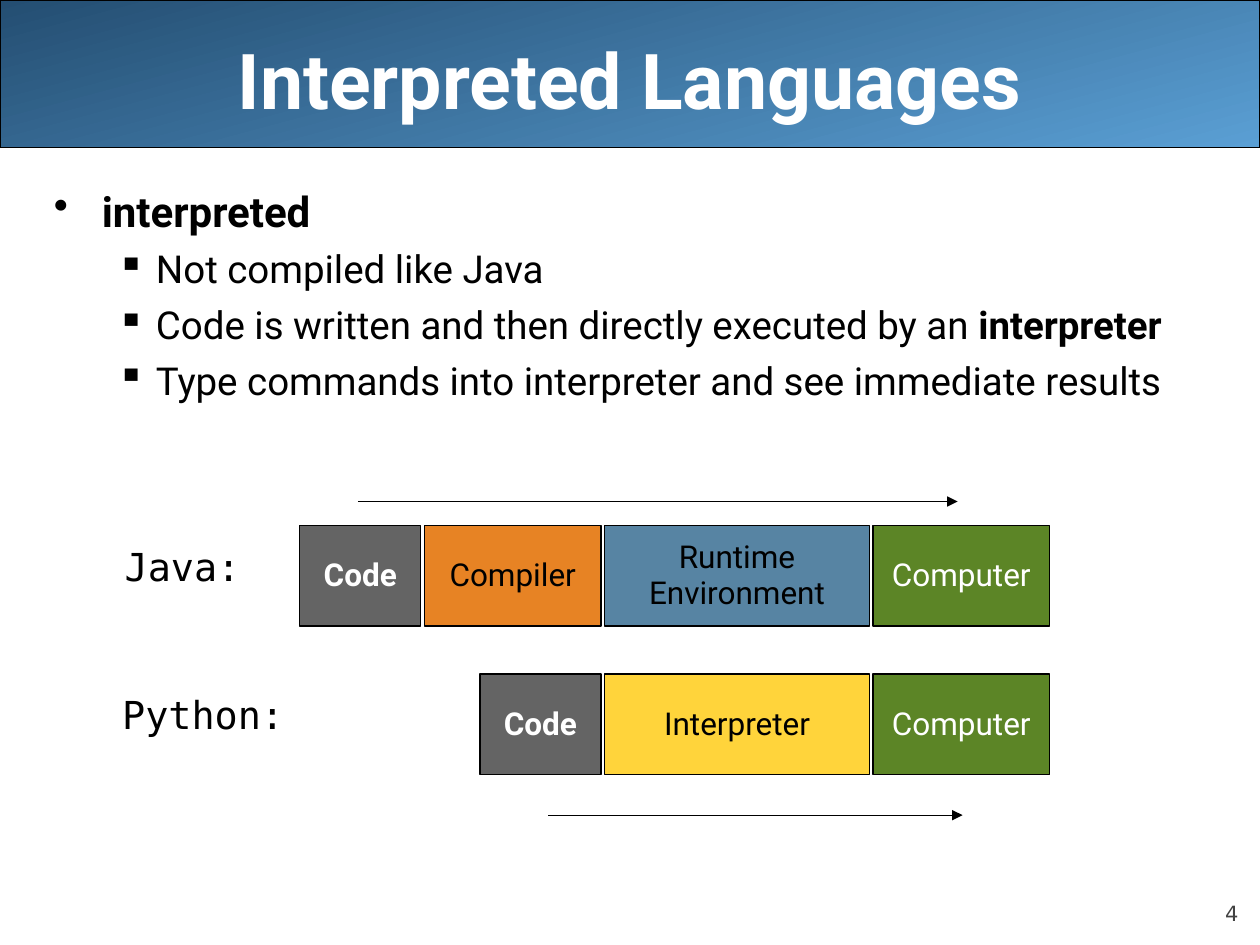
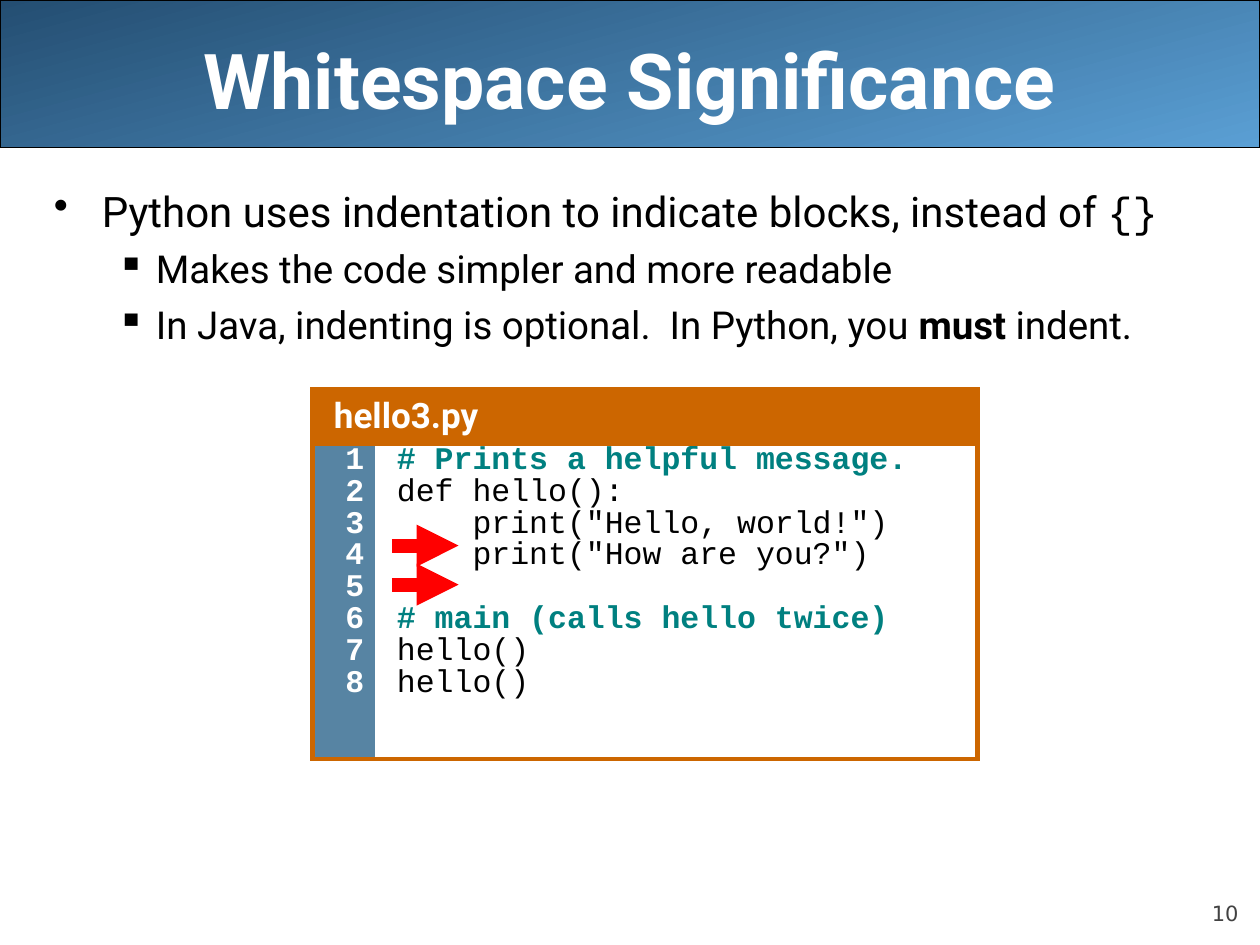
from lxml import etree
from pptx import Presentation, util as u
from pptx.dml.color import RGBColor
from pptx.enum import shapes, text
from pptx.oxml.ns import qn

# ---- Content ----
C = dict(black="000000", white="FFFFFF", dark="244E72", light="5A9FD4",
         page="424242", green="5C8526", blue="5784A3", orange="E78324",
         gray="646464", yellow="FFD43B", frame="CC6600", teal="008080",
         red="FF0000")
SANS, MONO, LABEL, NUMBER = "Roboto", "Courier New", "DejaVu Sans Mono", "DejaVu Sans"

# Bullets: (level, [(text, look), ...])
INTERPRETED = [
    (0, [("interpreted", "bold")]),
    (1, [("Not compiled like Java", "")]),
    (1, [("Code is written and then directly executed by an ", ""),
         ("interpreter", "bold")]),
    (1, [("Type commands into interpreter and see immediate results", "")]),
]
WHITESPACE = [
    (0, [("Python uses indentation to indicate blocks, instead of ", ""),
         ("{}", "code")]),
    (1, [("Makes the code simpler and more readable", "")]),
    (1, [("In Java, indenting is optional.  In Python, you ", ""),
         ("must", "bold"), (" indent.", "")]),
]
LEVELS = [  # bullet, size, left margin, hanging indent, space before
    dict(mark="•", size=24, left=0.38, hang=0.38, before=6),
    dict(mark="▪", size=22, left=0.81, hang=0.31, before=5.5),
]

# Stages: text, width, fill, text colour, bold
CODE = ("Code", 0.96, "gray", "white", True)
COMPUTER = ("Computer", 1.4, "green", "white", False)
PIPELINES = [
    dict(name="Java:", label=(0.9, 4.29, 1.1), top=4.17, arrow=(2.84, 7.6, 3.98),
         stages=[CODE, ("Compiler", 1.4, "orange", "black", False),
                 ("Runtime\nEnvironment", 2.1, "blue", "black", False), COMPUTER]),
    dict(name="Python:", label=(0.88, 5.47, 1.47), top=5.35, arrow=(4.35, 7.64, 6.47),
         stages=[CODE, ("Interpreter", 2.1, "yellow", "black", False), COMPUTER]),
]
STAGES_RIGHT, STAGE_GAP, STAGE_H = 8.33, 0.03, 0.8

FILE_NAME = "hello3.py"
LISTING = [  # line number, indent level, code
    (1, 0, "# Prints a helpful message."),
    (2, 0, "def hello():"),
    (3, 1, 'print("Hello, world!")'),
    (4, 1, 'print("How are you?")'),
    (6, 0, "# main (calls hello twice)"),
    (7, 0, "hello()"),
    (8, 0, "hello()"),
]
CODE_BEFORE, CODE_PITCH, CODE_MARGIN, CODE_INDENT = 4.5, 18.16, 0.12, 0.6
INDENT_ARROWS = (4.33, 4.64)

W, H = 10, 7.5


# ---- Helpers ----
def rgb(name):
    return RGBColor.from_string(C[name])


def inches(*values):
    return [u.Inches(v) for v in values]


def style(r, size, color="black", font=SANS, bold=False):
    r.font.size, r.font.name, r.font.bold = u.Pt(size), font, bold
    r.font.color.rgb = rgb(color)


def style_all(tf, align=None, spacing=None, before=0, **look):
    for p in tf.paragraphs:
        p.alignment, p.line_spacing, p.space_before = align, spacing, u.Pt(before)
        for r in p.runs:
            style(r, **look)


def margins(box, *sides):
    box.margin_left, box.margin_top, box.margin_right, box.margin_bottom = inches(*sides)


def add_text(s, at, content="", anchor=text.MSO_ANCHOR.TOP, wrap=True, **look):
    tf = s.shapes.add_textbox(*inches(*at)).text_frame
    tf.word_wrap, tf.vertical_anchor = wrap, anchor
    tf.text = content
    style_all(tf, **look)
    return tf


def add_box(s, at):
    sp = s.shapes.add_shape(shapes.MSO_SHAPE.RECTANGLE, *inches(*at))
    sp.shadow.inherit = False
    sp.line.color.rgb, sp.line.width = rgb("black"), u.Pt(0.75)
    return sp


def add_arrow(s, x1, x2, y, color="black", width=0.75):
    cn = s.shapes.add_connector(shapes.MSO_CONNECTOR.STRAIGHT, *inches(x1, y, x2, y))
    cn.line.color.rgb, cn.line.width = rgb(color), u.Pt(width)
    etree.SubElement(cn.line._get_or_add_ln(), qn("a:tailEnd"), type="triangle")
    etree.SubElement(cn._element.spPr, qn("a:effectLst"))


def indent(p, left, first=0):
    pPr = p._p.get_or_add_pPr()
    pPr.set("marL", str(u.Inches(left)))
    pPr.set("indent", str(u.Inches(first)))
    return pPr


def add_bullets(s, items):
    tf = add_text(s, (0.33, 1.42, 9.5, 5.42), size=24)
    for i, (level, runs) in enumerate(items):
        p = tf.paragraphs[0] if i == 0 else tf.add_paragraph()
        rule = LEVELS[level]
        p.level, p.space_before = level, u.Pt(rule["before"])
        pPr = indent(p, rule["left"], -rule["hang"])
        etree.SubElement(pPr, qn("a:buChar"), char=rule["mark"])
        for words, look in runs:
            r = p.add_run()
            r.text = words
            style(r, rule["size"], font=MONO if look == "code" else SANS,
                  bold=look == "bold")


def add_page(prs, title, number, bullets):
    """Add a slide with the shared band, title, page number and bullets."""
    s = prs.slides.add_slide(prs.slide_layouts[6])
    band = add_box(s, (0, 0, W, 1.17))
    band.fill.gradient()
    band.fill.gradient_angle = 285
    for stop, name in zip(band.fill.gradient_stops, ("dark", "light")):
        stop.color.rgb = rgb(name)
    page = add_text(s, (9, 6.95, 0.83, 0.4), str(number), text.MSO_ANCHOR.BOTTOM,
                    align=text.PP_ALIGN.RIGHT, before=5, size=12, color="page", font=NUMBER)
    margins(page, 0, 0, 0, 0)
    add_text(s, (0.5, 0, 9, 1.25), title, text.MSO_ANCHOR.MIDDLE,
             align=text.PP_ALIGN.CENTER, size=44, color="white", bold=True)
    add_bullets(s, bullets)
    return s


def add_pipeline(s, name, label, top, arrow, stages):
    """Lay the stages out leftwards from a common right edge."""
    right = STAGES_RIGHT
    for words, width, fill, color, bold in reversed(stages):
        sp = add_box(s, (right - width, top, width, STAGE_H))
        sp.fill.solid()
        sp.fill.fore_color.rgb = rgb(fill)
        tf = sp.text_frame
        tf.word_wrap, tf.vertical_anchor = True, text.MSO_ANCHOR.MIDDLE
        margins(tf, 0.09, 0.04, 0.09, 0.04)
        tf.text = words
        style_all(tf, text.PP_ALIGN.CENTER, 0.94, size=18, color=color, bold=bold)
        right -= width + STAGE_GAP
    add_arrow(s, *arrow)
    tf = add_text(s, (*label, 0.43), name, wrap=False, spacing=0.93, size=22, font=LABEL)
    margins(tf, 0.09, 0.05, 0.09, 0.05)


def format_cell(cell, fill, sides, right_margin=0.05):
    """Fill the cell and frame only the given sides (from L, R, T, B)."""
    margins(cell, 0.05, 0.05, right_margin, 0.05)
    cell.fill.solid()
    cell.fill.fore_color.rgb = rgb(fill)
    tcPr = cell._tc.get_or_add_tcPr()
    for i, side in enumerate("LRTB"):
        ln = etree.Element(qn(f"a:ln{side}"), w=str(u.Pt(3)))
        if side in sides:
            solid = etree.SubElement(ln, qn("a:solidFill"))
            etree.SubElement(solid, qn("a:srgbClr"), val=C["frame"])
        else:
            etree.SubElement(ln, qn("a:noFill"))
        tcPr.insert(i, ln)


def add_listing(s):
    tbl = s.shapes.add_table(2, 2, *inches(2.48, 3.09, 5.28, 2.92)).table
    tbl.first_row = tbl.horz_banding = False
    for col, width in zip(tbl.columns, (0.5, 4.78)):
        col.width = u.Inches(width)
    for row, height in zip(tbl.rows, (0.42, 2.5)):
        row.height = u.Inches(height)
    head, numbers, code = tbl.cell(0, 0), tbl.cell(1, 0), tbl.cell(1, 1)
    head.merge(tbl.cell(0, 1))
    format_cell(head, "frame", "LRTB")
    format_cell(tbl.cell(0, 1), "frame", "LRTB")
    format_cell(numbers, "blue", "LTB", 0.09)
    format_cell(code, "white", "RTB", 0.18)

    head.text_frame.text = FILE_NAME
    style_all(head.text_frame, before=5, size=20, color="white", bold=True)
    indent(head.text_frame.paragraphs[0], CODE_MARGIN)

    last = LISTING[-1][0]
    numbers.text_frame.text = "\n".join(str(n) for n in range(1, last + 1))
    style_all(numbers.text_frame, text.PP_ALIGN.RIGHT, 0.67, CODE_BEFORE,
              size=18, color="white", font=MONO, bold=True)
    for p in numbers.text_frame.paragraphs:
        indent(p, CODE_MARGIN)

    tf = code.text_frame
    tf.text = "\n".join(line for _, _, line in LISTING)
    style_all(tf, spacing=0.67, size=18, font=MONO)
    previous = 0
    for p, (number, depth, line) in zip(tf.paragraphs, LISTING):
        skipped = number - previous - 1
        p.space_before = u.Pt(CODE_BEFORE + skipped * CODE_PITCH)
        indent(p, CODE_MARGIN + depth * CODE_INDENT)
        if line.startswith("#"):
            style(p.runs[0], 18, "teal", MONO, True)
        previous = number


def main():
    prs = Presentation()
    prs.slide_width, prs.slide_height = inches(W, H)

    s = add_page(prs, "Interpreted Languages", 4, INTERPRETED)
    for pipeline in PIPELINES:
        add_pipeline(s, **pipeline)

    s = add_page(prs, "Whitespace Significance", 10, WHITESPACE)
    add_listing(s)
    for y in INDENT_ARROWS:
        add_arrow(s, 3.11, 3.64, y, "red", 8)

    prs.save("out.pptx")


if __name__ == "__main__":
    main()
